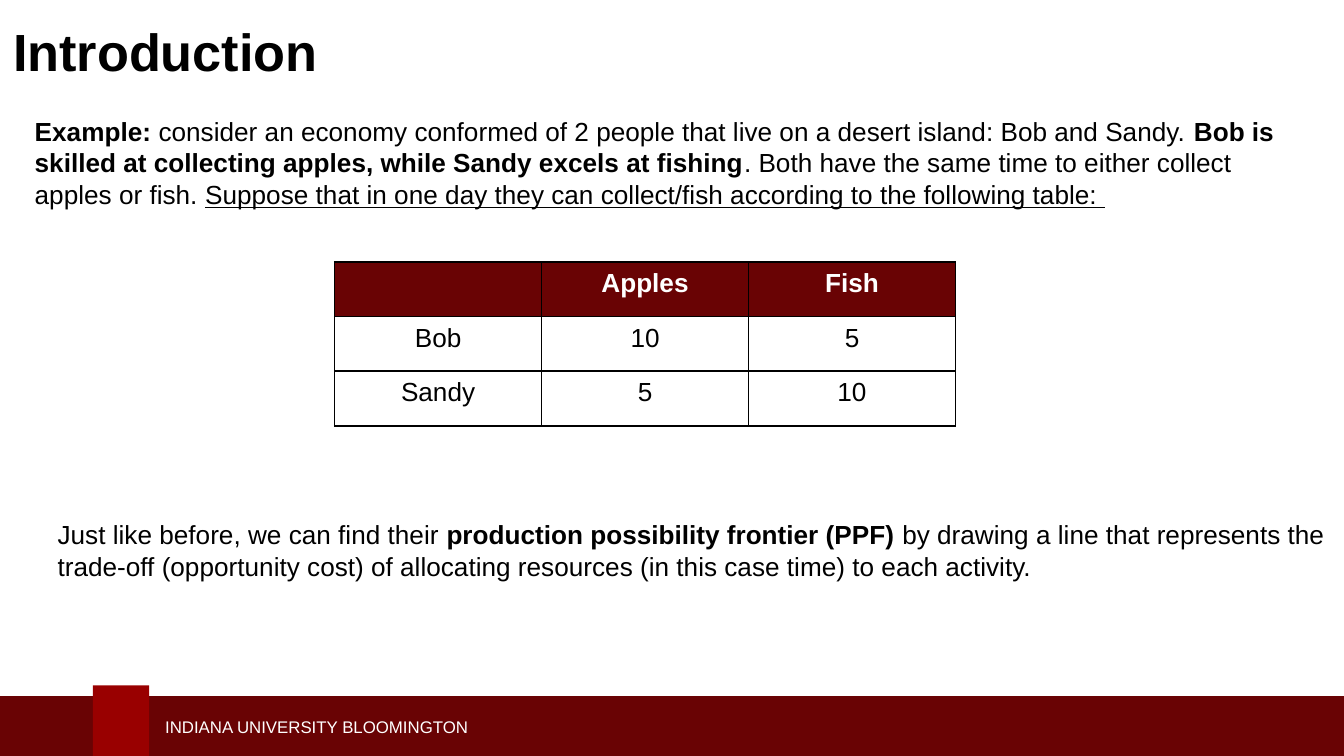
import pptx
import pptx.util
import pptx.dml.color
import pptx.enum.shapes
import pptx.enum.text
import pptx.oxml
import pptx.oxml.ns

Inches = pptx.util.Inches
Pt = pptx.util.Pt
RGBColor = pptx.dml.color.RGBColor
MIDDLE = pptx.enum.text.MSO_ANCHOR.MIDDLE
CENTER = pptx.enum.text.PP_ALIGN.CENTER
RECT = pptx.enum.shapes.MSO_SHAPE.RECTANGLE

MAROON = RGBColor(0x69, 0x03, 0x04)
RED = RGBColor(0x99, 0x00, 0x00)
BLACK = RGBColor(0, 0, 0)
WHITE = RGBColor(0xFF, 0xFF, 0xFF)

deck = pptx.Presentation()
deck.slide_width = Inches(10)
deck.slide_height = Inches(10) * 9 // 16
slide = deck.slides.add_slide(deck.slide_layouts[6])


def style(run, size, color, bold=False, under=False):
    font = run.font
    font.name = "Arial"
    font.size = Pt(size)
    font.color.rgb = color
    font.bold = bold
    font.underline = under


def add_text(left, top, width, height, parts, size, color):
    box = slide.shapes.add_textbox(Inches(left), Inches(top), Inches(width), Inches(height))
    frame = box.text_frame
    frame.word_wrap = True
    for text, bold, under in parts:
        run = frame.paragraphs[0].add_run()
        run.text = text
        style(run, size, color, bold, under)
    return frame


for left, top, width, height, color in [
    (-0.03, 5.18, 10.09, 0.5, MAROON),
    (0.69, 5.1, 0.42, 0.58, RED),
]:
    bar = slide.shapes.add_shape(RECT, Inches(left), Inches(top), Inches(width), Inches(height))
    bar.shadow.inherit = False
    bar.fill.solid()
    bar.fill.fore_color.rgb = color
    bar.line.fill.background()

school = add_text(1.13, 5.28, 3.95, 0.25, [("INDIANA UNIVERSITY BLOOMINGTON", False, False)], 9, WHITE)
title = add_text(0, 0, 10, 0.76, [("Introduction", True, False)], 28, BLACK)
for frame in (school, title):
    frame.vertical_anchor = MIDDLE

intro = [
    ("Example: ", True, False),
    ("consider an economy conformed of 2 people that live on a desert island: Bob and Sandy. ", False, False),
    ("Bob is skilled at collecting apples, while Sandy excels at fishing", True, False),
    (". Both have the same time to either collect apples or fish. ", False, False),
    ("Suppose that in one day they can collect/fish according to the following table: ", False, True),
]
outro = [
    ("Just like before, we can find their ", False, False),
    ("production possibility frontier (PPF) ", True, False),
    ("by drawing a line that represents the trade-off (opportunity cost) of allocating "
     "resources (in this case time) to each activity.", False, False),
]
for left, top, height, parts in [(0.16, 0.81, 0.81, intro), (0.33, 3.81, 0.57, outro)]:
    add_text(left, top, 9.68, height, parts, 14, BLACK)

rows = [["", "Apples", "Fish"], ["Bob", "10", "5"], ["Sandy", "5", "10"]]
table = slide.shapes.add_table(3, 3, Inches(2.49), Inches(1.95), Inches(4.62), Inches(1.22)).table
table.horz_banding = False
for col in table.columns:
    col.width = Inches(1.54)
for row in table.rows:
    row.height = Inches(1.22) // 3

for r, row in enumerate(rows):
    for c, text in enumerate(row):
        cell = table.cell(r, c)
        props = cell._tc.get_or_add_tcPr()
        for side in "LRTB":
            props.append(pptx.oxml.parse_xml(
                f'<a:ln{side} {pptx.oxml.ns.nsdecls("a")} w="12700"><a:solidFill>'
                f'<a:srgbClr val="{BLACK}"/></a:solidFill></a:ln{side}>'))
        if r == 0:
            cell.fill.solid()
            cell.fill.fore_color.rgb = MAROON
        else:
            cell.fill.background()
        cell.text_frame.text = text
        para = cell.text_frame.paragraphs[0]
        para.alignment = CENTER
        for run in para.runs:
            style(run, 14, WHITE if r == 0 else BLACK, r == 0)

deck.save("out.pptx")
